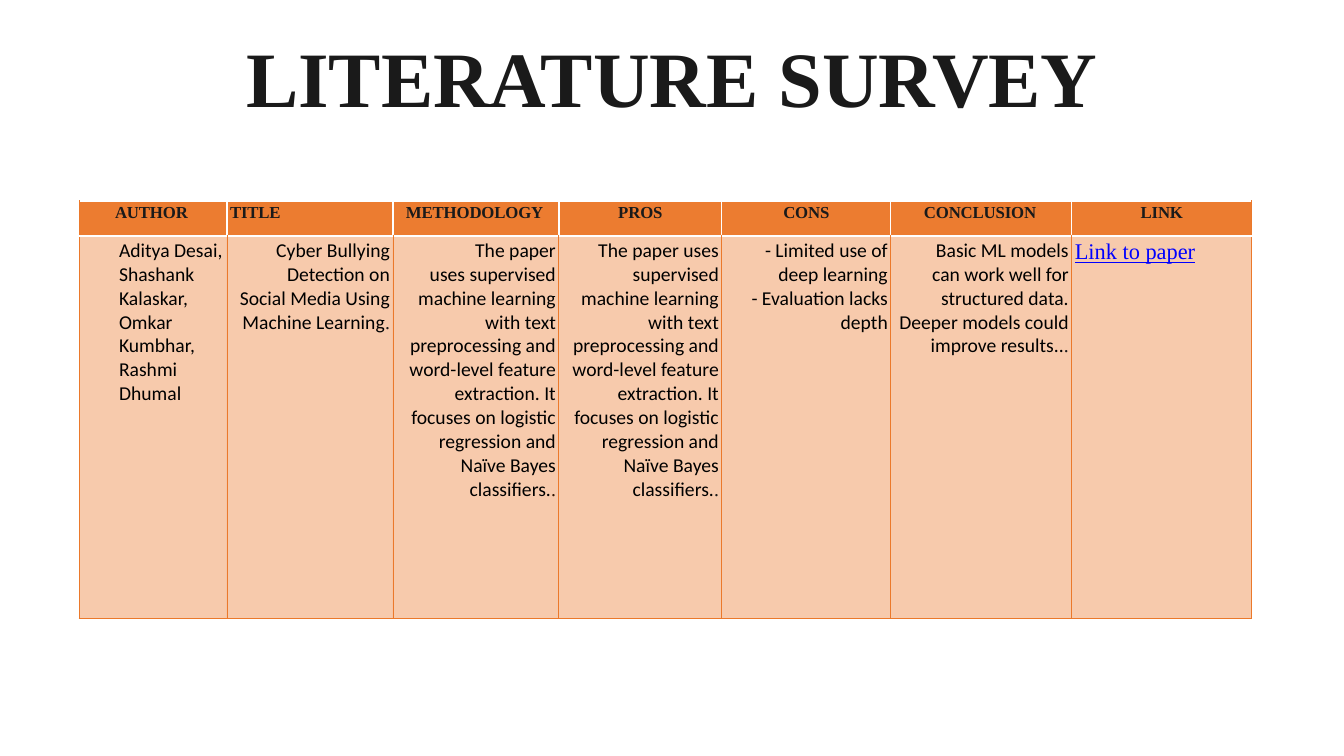
from lxml.etree import SubElement
from pptx import Presentation
from pptx.dml.color import RGBColor
from pptx.enum.text import MSO_ANCHOR, MSO_AUTO_SIZE, PP_ALIGN
from pptx.oxml.ns import qn
from pptx.util import Emu, Pt

SCALE = 914400 / 100.8
HUES = {"ink": "1A1A1A", "black": "000000", "brown": "2D1200", "link": "0000FF",
        "fill": "EC7C30", "line": "EB792B", "white": "FFFFFF"}
SERIF, SANS = "Times New Roman", "Calibri"
LEFT, MID, RIGHT = PP_ALIGN.LEFT, PP_ALIGN.CENTER, PP_ALIGN.RIGHT
COLS = [148, 166, 166, 163, 169, 181, 180]
ROWS = [35, 383]

# Heading, alignment, left indent
HEADS = [("AUTHOR", LEFT, 36), ("TITLE", LEFT, 3), ("METHODOLOGY", LEFT, 13),
         ("PROS", MID, 0), ("CONS", MID, 0), ("CONCLUSION", LEFT, 33),
         ("LINK", MID, 0)]
METHOD = ("The paper uses supervised machine learning with text preprocessing "
          "and word-level feature extraction. It focuses on logistic regression "
          "and Naïve Bayes classifiers.")
# Text, colour of the closing dot, alignment, left indent, first line indent
BODY = [
    ("Aditya Desai, Shashank Kalaskar, Omkar Kumbhar, Rashmi Dhumal",
     None, LEFT, 40, 0),
    ("Cyber Bullying Detection on Social Media Using Machine Learning",
     "ink", RIGHT, 10, 6),
    (METHOD, "brown", RIGHT, 6, 72),
    (METHOD, "ink", RIGHT, 8, 31),
    ("- Limited use of deep learning\n- Evaluation lacks depth",
     None, RIGHT, 11, 0),
    ("Basic ML models can work well for structured data. "
     "Deeper models could improve results..", "ink", RIGHT, 6, 9),
]


def px(n):
    return Emu(round(n * SCALE))


def add_run(para, text, size, hue, font=SERIF, bold=False, gap=0):
    for i, line in enumerate(text.split("\n")):
        if i:
            para.add_line_break()
        run = para.add_run()
        run.text = line
        run.font.size, run.font.name, run.font.bold = Pt(size), font, bold
        run.font.color.rgb = RGBColor.from_string(HUES[hue])
        if gap:
            run.font._element.set("spc", str(gap))
    return run


def set_para(para, align, left=0, first=0, before=0):
    para.alignment, para.space_before = align, Pt(before)
    props = para._p.get_or_add_pPr()
    props.set("marL", str(px(left)))
    props.set("indent", str(px(first)))
    return para


def add_edge(cell, side, hue, width):
    edge = SubElement(cell._tc.get_or_add_tcPr(), qn("a:ln" + side), w=str(Pt(width)))
    fill = SubElement(edge, qn("a:solidFill"))
    SubElement(fill, qn("a:srgbClr"), val=HUES[hue])


def set_cell(cell, edges, alpha=None, right=0, top=3):
    cell.margin_left = cell.margin_bottom = 0
    cell.margin_top, cell.margin_right = px(top), px(right)
    cell.vertical_anchor = MSO_ANCHOR.TOP
    for side, hue, width in edges:
        add_edge(cell, side, hue, width)
    cell.fill.solid()
    cell.fill.fore_color.rgb = RGBColor.from_string(HUES["fill"])
    if alpha:
        tone = cell._tc.tcPr.find(qn("a:solidFill"))[0]
        SubElement(tone, qn("a:alpha"), val=str(alpha * 1000))
    return cell.text_frame.paragraphs[0]


def add_title(slide):
    shape = slide.shapes.title
    shape.left, shape.top, shape.width, shape.height = map(px, (53, 20, 1122, 130))
    frame = shape.text_frame
    frame.auto_size, frame.vertical_anchor = MSO_AUTO_SIZE.NONE, MSO_ANCHOR.TOP
    frame.margin_left = frame.margin_right = frame.margin_bottom = 0
    frame.margin_top = px(9)
    para = set_para(frame.paragraphs[0], LEFT, 193)
    add_run(para, "LITERATURE ", 56, "ink", bold=True)
    add_run(para, "SURVEY", 56, "ink", bold=True, gap=-10)


def add_grid(slide):
    table = slide.shapes.add_table(len(ROWS), len(COLS), px(79), px(201),
                                   px(sum(COLS)), px(sum(ROWS))).table
    table.horz_banding = False
    for col, width in zip(table.columns, COLS):
        col.width = px(width)
    for row, height in zip(table.rows, ROWS):
        row.height = px(height)

    # Header row
    rule = ("white", 2.25)
    last = len(COLS) - 1
    for i, (text, align, left) in enumerate(HEADS):
        edges = [(side, "line", 0.75) for side, at in (("L", 0), ("R", last)) if i == at]
        para = set_cell(table.cell(0, i), edges + [("B", *rule)])
        set_para(para, align, left, before=2.5)
        add_run(para, text, 12, "ink", bold=True, gap=-10)

    # Paper row
    edges = [("L", "line", 0.75), ("R", "line", 0.75), ("T", *rule), ("B", "line", 0.75)]
    for i, (text, dot, align, left, first) in enumerate(BODY):
        para = set_cell(table.cell(1, i), edges, 40, 3 if align == RIGHT else 0)
        set_para(para, align, left, first, 2)
        add_run(para, text, 14, "black", SANS)
        if dot:
            add_run(para, ".", 14, dot)

    # Link cell
    para = set_para(set_cell(table.cell(1, last), edges, 40, top=0), LEFT, 3)
    para.line_spacing = 1.15
    add_run(para, "Link to paper", 16, "link").font.underline = True


def main():
    deck = Presentation()
    deck.slide_width, deck.slide_height = px(1344), px(756)
    slide = deck.slides.add_slide(deck.slide_layouts[5])
    add_title(slide)
    add_grid(slide)
    deck.save("out.pptx")


if __name__ == "__main__":
    main()
